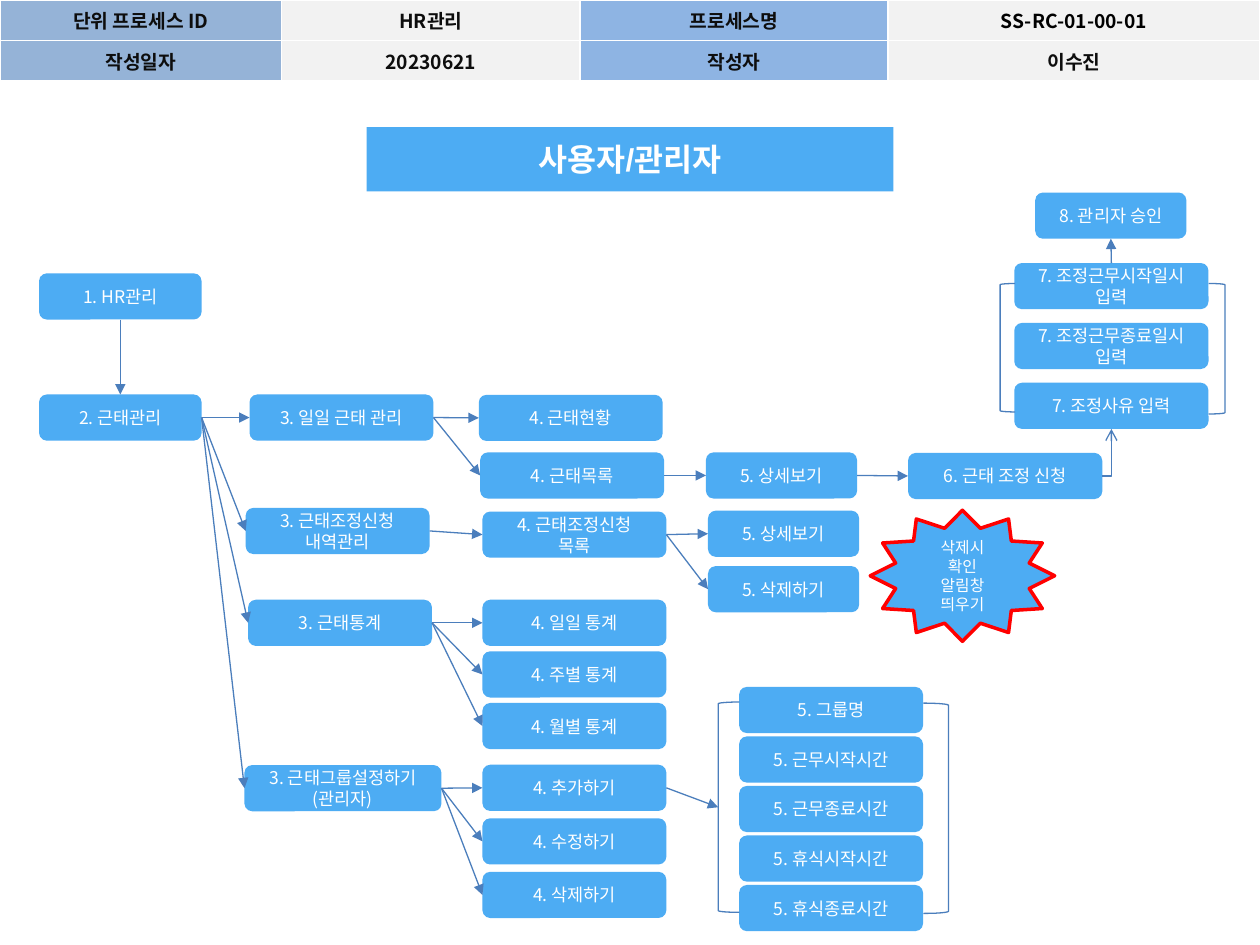
"""Build the HR attendance process flow slide."""
import pptx
import pptx.util
import pptx.dml.color
import pptx.enum.shapes
import pptx.enum.text
import pptx.oxml
import pptx.oxml.ns
import lxml.etree
from dataclasses import dataclass

Pt = pptx.util.Pt
SHAPE = pptx.enum.shapes.MSO_SHAPE
CONNECTOR = pptx.enum.shapes.MSO_CONNECTOR
TOP, LEFT, BOTTOM, RIGHT = range(4)


@dataclass(frozen=True)
class Theme:
    font: str = "Noto Sans CJK KR"
    title_font: str = "Arial"
    title_size: int = 18
    header_size: int = 11
    node_size: int = 10
    note_size: int = 9
    node: str = "4DACF3"
    line: str = "4B7EBC"
    alert: str = "FF0000"
    white: str = "FFFFFF"
    ink: str = "0D0D0D"
    black: str = "000000"
    header_fills: tuple = ("95B3D7", "F2F2F2", "8EB4E3", "F2F2F2")


THEME = Theme()
HEADER = [
    ["단위 프로세스 ID", "HR관리", "프로세스명", "SS-RC-01-00-01"],
    ["작성일자", "20230621", "작성자", "이수진"],
]
HEADER_WIDTHS = [161, 170.5, 176, 212.5]
HEADER_ROW = 22
TITLE = "사용자/관리자"
TITLE_FRAME = (209.5, 72.7, 301, 36.7)
NODE_HEIGHT = 26.4

# name: (left, top, pitch, width, labels)
STACKS = {
    "hr": (22.3, 156.2, 0, 92.9, ["1. HR관리"]),
    "attendance": (22.3, 225.4, 0, 92.9, ["2. 근태관리"]),
    "daily": (142.6, 225.4, 0, 105.1, ["3. 일일 근태 관리"]),
    "requests": (140.4, 290.2, 0, 105.1, ["3. 근태조정신청\n내역관리"]),
    "statistics": (141.8, 342.7, 0, 105.1, ["3. 근태통계"]),
    "groups": (139.7, 437.2, 0, 112.6, ["3. 근태그룹설정하기(관리자)"]),
    "status": (273.6, 225.6, 0, 105.1, ["4. 근태현황"]),
    "records": (274.4, 258.5, 0, 105.1, ["4. 근태목록"]),
    "request list": (275.7, 292.3, 0, 105.1, ["4. 근태조정신청\n목록"]),
    "periods": (275.7, 342.7, 29.5, 105.1,
                ["4. 일일 통계", "4. 주별 통계", "4. 월별 통계"]),
    "edits": (275.7, 437, 30.6, 105.1,
              ["4. 추가하기", "4. 수정하기", "4. 삭제하기"]),
    "detail": (403.4, 258.5, 0, 86.4, ["5. 상세보기"]),
    "request actions": (404.6, 291.8, 31.7, 86.4, ["5. 상세보기", "5. 삭제하기"]),
    "fields": (422.4, 392.5, 28.3, 105.1,
               ["5. 그룹명", "5. 근무시작시간", "5. 근무종료시간",
                "5. 휴식시작시간", "5. 휴식종료시간"]),
    "adjustment": (518.9, 258.8, 0, 111, ["6. 근태 조정 신청"]),
    "inputs": (579.6, 150.3, 34.2, 111,
               ["7. 조정근무시작일시\n입력", "7. 조정근무종료일시 입력",
                "7. 조정사유 입력"]),
    "approval": (591.6, 110, 0, 86.4, ["8. 관리자 승인"]),
}
BRACKETS = {
    "inputs left": (SHAPE.LEFT_BRACKET, (571.5, 162, 8.6, 73.4)),
    "inputs right": (SHAPE.RIGHT_BRACKET, (690.6, 162, 9.4, 74.6)),
    "fields left": (SHAPE.LEFT_BRACKET, (410.4, 401.2, 12.2, 120.2)),
    "fields right": (SHAPE.RIGHT_BRACKET, (527.6, 401.8, 14.4, 120.2)),
}
NOTE = "삭제시\n확인 알림창 띄우기"
NOTE_FRAME = (497.3, 291.6, 105.4, 74.9)
BRANCHES = [
    ("attendance", ["daily", "requests", "statistics", "groups"]),
    ("daily", ["status", "records"]),
    ("requests", ["request list"]),
    ("statistics", ["periods"]),
    ("groups", ["edits"]),
    ("records", ["detail"]),
    ("detail", ["adjustment"]),
    ("request list", ["request actions"]),
]


def rgb(value):
    return pptx.dml.color.RGBColor.from_string(value)


def points(frame):
    return [Pt(value) for value in frame]


def write(text_frame, text, size, color, bold=False, font=THEME.font):
    text_frame.text = text
    text_frame.word_wrap = True
    text_frame.vertical_anchor = pptx.enum.text.MSO_ANCHOR.MIDDLE
    for para in text_frame.paragraphs:
        para.alignment = pptx.enum.text.PP_ALIGN.CENTER
        para.font.size, para.font.bold, para.font.name = Pt(size), bold, font
        para.font.color.rgb = rgb(color)
        properties = para._p.get_or_add_pPr().get_or_add_defRPr()
        east_asian = lxml.etree.SubElement(properties, pptx.oxml.ns.qn("a:ea"))
        east_asian.set("typeface", THEME.font)


def add_header(page):
    frame = points((0, 0, sum(HEADER_WIDTHS), HEADER_ROW * len(HEADER)))
    table = page.shapes.add_table(len(HEADER), len(HEADER_WIDTHS), *frame).table
    for column, width in zip(table.columns, HEADER_WIDTHS):
        column.width = Pt(width)
    for r, labels in enumerate(HEADER):
        for c, label in enumerate(labels):
            cell = table.cell(r, c)
            color = THEME.black if label.startswith("SS") else THEME.ink
            write(cell.text_frame, label, THEME.header_size, color, True)
            cell.vertical_anchor = pptx.enum.text.MSO_ANCHOR.MIDDLE
            cell.fill.solid()
            cell.fill.fore_color.rgb = rgb(THEME.header_fills[c])
            for index, side in enumerate(("lnL", "lnR", "lnT", "lnB")):
                border = pptx.oxml.parse_xml(
                    f'<a:{side} {pptx.oxml.ns.nsdecls("a")} w="12700"><a:solidFill>'
                    f'<a:srgbClr val="{THEME.white}"/></a:solidFill></a:{side}>')
                cell._tc.get_or_add_tcPr().insert(index, border)


def add_title(page):
    box = page.shapes.title
    box.left, box.top, box.width, box.height = points(TITLE_FRAME)
    box._element.spPr.append(pptx.oxml.parse_xml(
        f'<a:prstGeom {pptx.oxml.ns.nsdecls("a")} prst="roundRect"><a:avLst/></a:prstGeom>'))
    box.fill.solid()
    box.fill.fore_color.rgb = rgb(THEME.node)
    write(box.text_frame, TITLE, THEME.title_size, THEME.white, True, THEME.title_font)
    box.text_frame.auto_size = pptx.enum.text.MSO_AUTO_SIZE.NONE


def add_box(page, kind, frame, text, size=THEME.node_size):
    box = page.shapes.add_shape(kind, *points(frame))
    box.shadow.inherit = False
    box.fill.solid()
    box.fill.fore_color.rgb = rgb(THEME.node)
    box.line.fill.background()
    write(box.text_frame, text, size, THEME.white)
    return box


def add_bracket(page, kind, frame):
    bracket = page.shapes.add_shape(kind, *points(frame))
    bracket.shadow.inherit = False
    bracket.fill.background()
    bracket.line.color.rgb = rgb(THEME.line)
    bracket.line.width = Pt(0.75)
    return bracket


def add_arrow(page, start, end, start_side=RIGHT, end_side=LEFT, bent=False):
    kind = CONNECTOR.ELBOW if bent else CONNECTOR.STRAIGHT
    arrow = page.shapes.add_connector(kind, 0, 0, 0, 0)
    arrow.begin_connect(start, start_side)
    arrow.end_connect(end, end_side)
    arrow.line.color.rgb = rgb(THEME.line)
    arrow.line.width = Pt(0.75)
    properties = arrow._element.spPr
    if bent:
        properties.find(pptx.oxml.ns.qn("a:prstGeom")).set("prst", "bentConnector2")
    head = lxml.etree.SubElement(arrow.line._get_or_add_ln(), pptx.oxml.ns.qn("a:tailEnd"))
    head.set("type", "arrow" if bent else "triangle")
    lxml.etree.SubElement(properties, pptx.oxml.ns.qn("a:effectLst"))


def main():
    deck = pptx.Presentation()
    deck.slide_width, deck.slide_height = Pt(720), Pt(540)
    page = deck.slides.add_slide(deck.slide_layouts[5])
    add_header(page)
    add_title(page)
    nodes = {
        name: [add_box(page, SHAPE.ROUNDED_RECTANGLE,
                       (left, top + i * pitch, width, NODE_HEIGHT), label)
               for i, label in enumerate(labels)]
        for name, (left, top, pitch, width, labels) in STACKS.items()
    }
    brackets = {name: add_bracket(page, *item) for name, item in BRACKETS.items()}
    note = add_box(page, SHAPE.STAR_12_POINT, NOTE_FRAME, NOTE, THEME.note_size)
    note.line.color.rgb = rgb(THEME.alert)
    note.line.width = Pt(2)
    for source, targets in BRANCHES:
        for target in targets:
            for node in nodes[target]:
                add_arrow(page, nodes[source][0], node)
    add_arrow(page, nodes["edits"][0], brackets["fields left"])
    add_arrow(page, nodes["hr"][0], nodes["attendance"][0], BOTTOM, TOP)
    add_arrow(page, nodes["inputs"][0], nodes["approval"][0], TOP, BOTTOM)
    add_arrow(page, nodes["adjustment"][0], nodes["inputs"][-1], RIGHT, BOTTOM, bent=True)
    deck.save("out.pptx")


if __name__ == "__main__":
    main()
